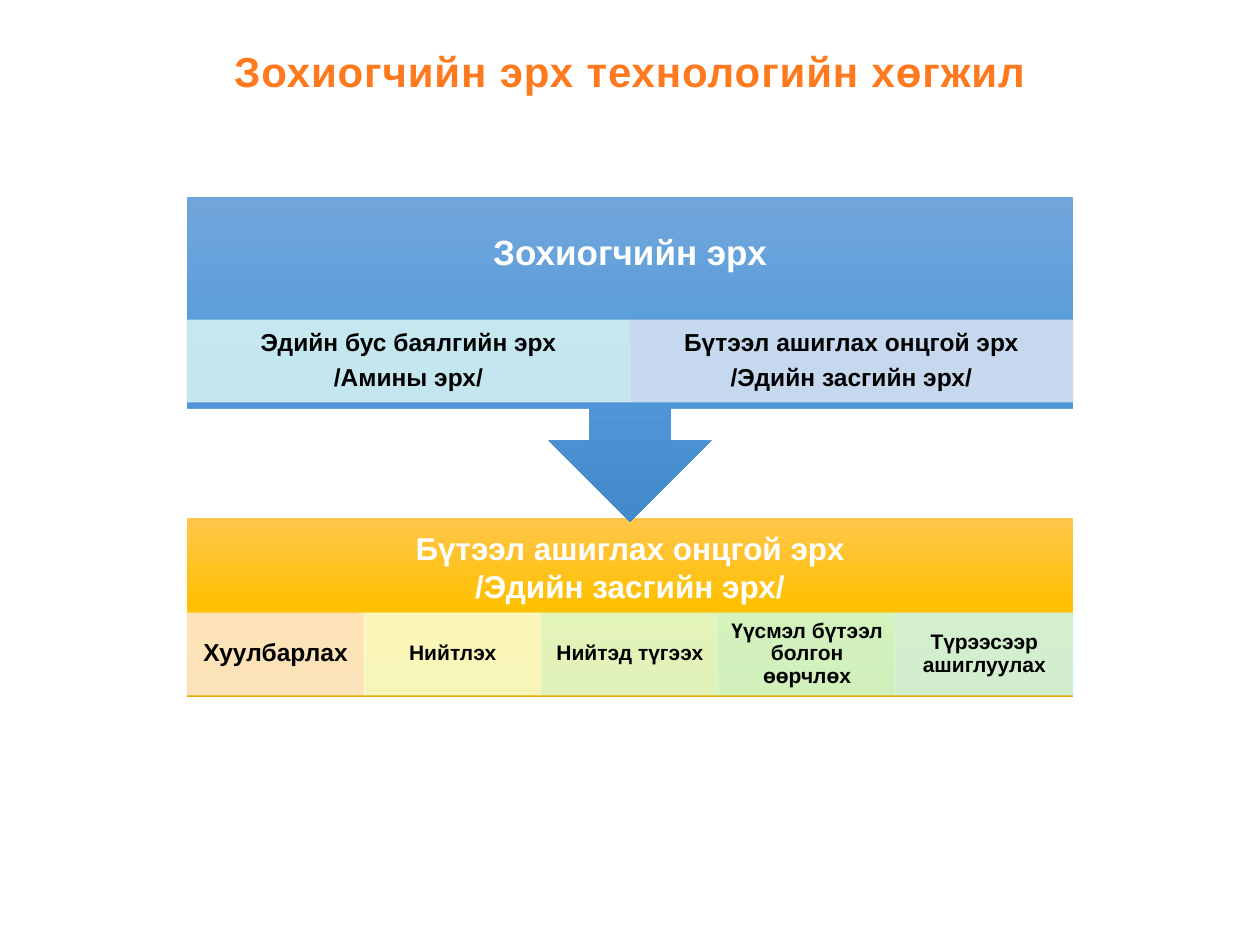
from dataclasses import dataclass

from lxml import etree
from pptx import Presentation
from pptx import util as u
from pptx.dml.color import RGBColor
from pptx.enum import shapes, text
from pptx.oxml.ns import qn

PX_PER_INCH = 126


def px(length):
    return u.Emu(round(length * 914400 / PX_PER_INCH))


@dataclass(frozen=True)
class Theme:
    font: str = "Arial"
    title: str = "FF7A1F"
    light: str = "FFFFFF"
    dark: str = "000000"
    blue: tuple = ("71A6DB", "559BDB", "448ACA")
    gold: tuple = ("FFC64B", "FFC000", "E3AB00")
    right_cells: tuple = ("D1F0F2", "D2DFF0")
    use_cells: tuple = ("FFE8CC", "FAFDCD", "E1FACE", "CFF8D1", "D0F5E5")
    title_size: int = 24
    rights_size: int = 20
    uses_size: int = 18
    large_cell: int = 14
    small_cell: int = 12


class SlideBuilder:
    def __init__(self, slide, theme):
        self.slide = slide
        self.theme = theme

    def add_lines(self, shape, lines, size, color, inset, spaced=True, tracking=None):
        """Fill a shape with centred bold lines."""
        frame = shape.text_frame
        frame.word_wrap = True
        frame.vertical_anchor = text.MSO_ANCHOR.MIDDLE
        frame.margin_left = frame.margin_right = px(inset[0])
        frame.margin_top = frame.margin_bottom = px(inset[1])
        for index, line in enumerate(lines):
            paragraph = frame.paragraphs[0] if index == 0 else frame.add_paragraph()
            paragraph.alignment = text.PP_ALIGN.CENTER
            if spaced:
                self.space(paragraph)
            run = paragraph.add_run()
            run.text = line
            run.font.name = self.theme.font
            run.font.size = u.Pt(size)
            run.font.bold = True
            run.font.color.rgb = RGBColor.from_string(color)
            if tracking:
                run._r.get_or_add_rPr().set("spc", str(tracking))

    def space(self, paragraph):
        """Tight lines, with a gap of 35% after each paragraph."""
        paragraph.line_spacing = 0.9
        paragraph.space_after = u.Pt(0)
        after = paragraph._p.pPr.find(qn("a:spcAft"))
        after.remove(after[0])
        etree.SubElement(after, qn("a:spcPct"), val="35000")

    def label(self, box, lines, size, color, inset, **options):
        shape = self.slide.shapes.add_textbox(*map(px, box))
        self.add_lines(shape, lines, size, color, inset, **options)

    def panel(self, kind, box, colors):
        """Shape with a vertical gradient of evenly spaced stops."""
        shape = self.slide.shapes.add_shape(kind, *map(px, box))
        shape.shadow.inherit = False
        shape.line.fill.background()
        shape.fill.gradient()
        shape.fill.gradient_angle = 270
        stops = shape._element.spPr.find(qn("a:gradFill")).find(qn("a:gsLst"))
        for stop in list(stops):
            stops.remove(stop)
        for index, color in enumerate(colors):
            position = 100000 * index // (len(colors) - 1)
            stop = etree.SubElement(stops, qn("a:gs"), pos=str(position))
            etree.SubElement(stop, qn("a:srgbClr"), val=color)

    def cell(self, box, color, lines, size):
        """Slightly transparent rectangle with a thin edge of its own colour."""
        shape = self.slide.shapes.add_shape(shapes.MSO_SHAPE.RECTANGLE, *map(px, box))
        shape.shadow.inherit = False
        shape.fill.solid()
        shape.fill.fore_color.rgb = RGBColor.from_string(color)
        shape.line.color.rgb = RGBColor.from_string(color)
        shape.line.width = u.Pt(0.5)
        for tint in shape._element.spPr.iter(qn("a:srgbClr")):
            etree.SubElement(tint, qn("a:alpha"), val="90000")
        self.add_lines(shape, lines, size, self.theme.dark, (size, 2))

    def cell_row(self, left, top, width, height, colors, cells):
        step = width / len(cells)
        for index, (color, (lines, size)) in enumerate(zip(colors, cells)):
            self.cell((left + index * step, top, step, height), color, lines, size)


def main():
    theme = Theme()
    presentation = Presentation()
    presentation.slide_width = px(1260)
    presentation.slide_height = px(945)
    slide = presentation.slides.add_slide(presentation.slide_layouts[6])
    builder = SlideBuilder(slide, theme)
    left, width, cell_height = 187, 886, 82
    economic_right = ["Бүтээл ашиглах онцгой эрх", "/Эдийн засгийн эрх/"]

    # Title
    builder.label((217, 20, 826, 101), ["Зохиогчийн эрх технологийн хөгжил"],
                  theme.title_size, theme.title, (13, 6), spaced=False, tracking=50)

    # Lower block: uses of a work
    builder.panel(shapes.MSO_SHAPE.RECTANGLE, (left, 518, width, 179), theme.gold)
    builder.label((left, 518, width, 97), economic_right,
                  theme.uses_size, theme.light, (18, 18), spaced=False)
    uses = [
        (["Хуулбарлах"], theme.large_cell),
        (["Нийтлэх"], theme.small_cell),
        (["Нийтэд түгээх"], theme.small_cell),
        (["Үүсмэл бүтээл болгон өөрчлөх"], theme.small_cell),
        (["Түрээсээр ашиглуулах"], theme.small_cell),
    ]
    builder.cell_row(left, 613, width, cell_height, theme.use_cells, uses)

    # Upper block: kinds of right, pointing down to the uses
    builder.panel(shapes.MSO_SHAPE.DOWN_ARROW_CALLOUT, (left, 197, width, 325), theme.blue)
    builder.label((left, 197, width, 115), ["Зохиогчийн эрх"],
                  theme.rights_size, theme.light, (20, 20))
    rights = [
        (["Эдийн бус баялгийн эрх", "/Амины эрх/"], theme.large_cell),
        (economic_right, theme.large_cell),
    ]
    builder.cell_row(left, 320, width, cell_height, theme.right_cells, rights)

    presentation.save("out.pptx")


if __name__ == "__main__":
    main()
